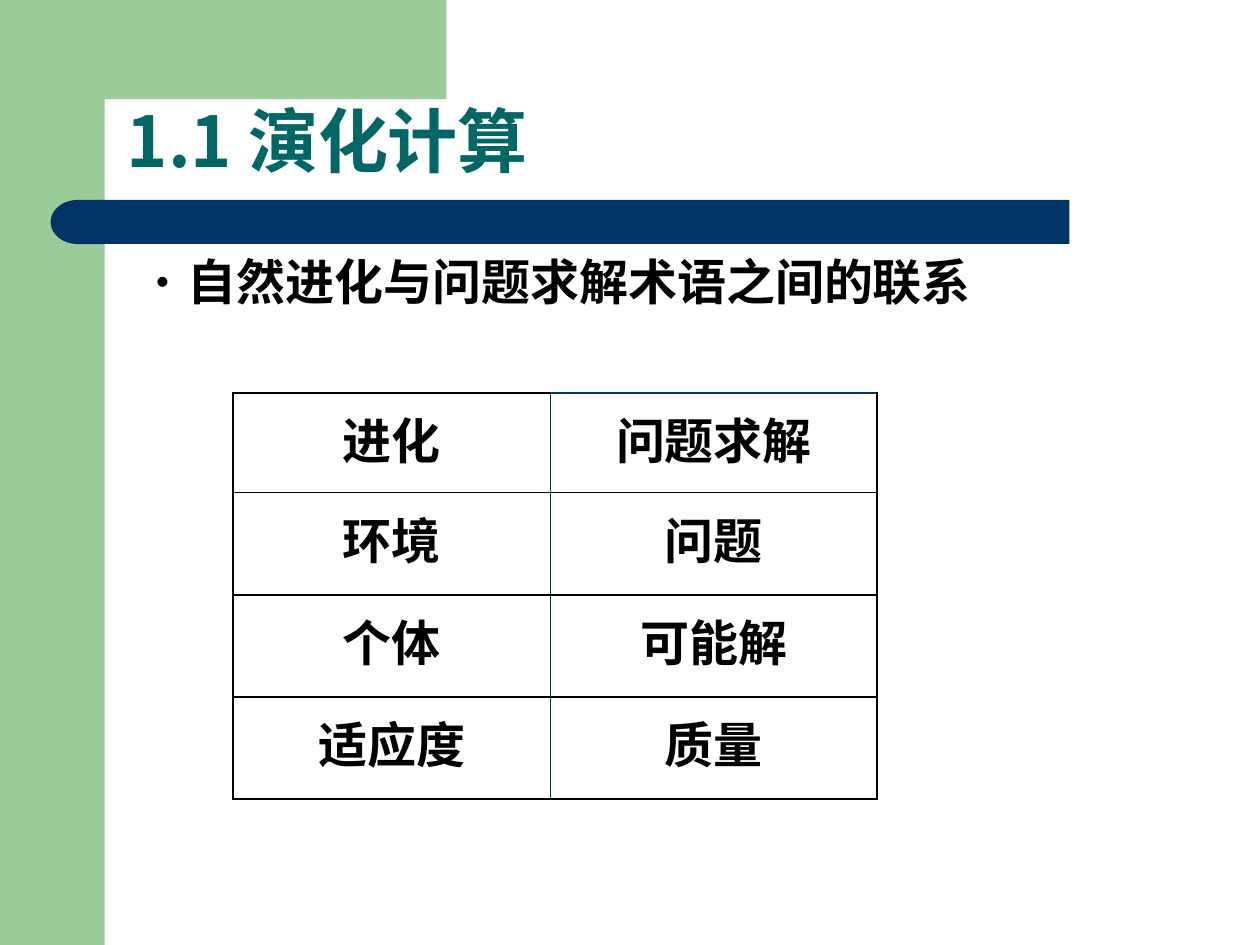
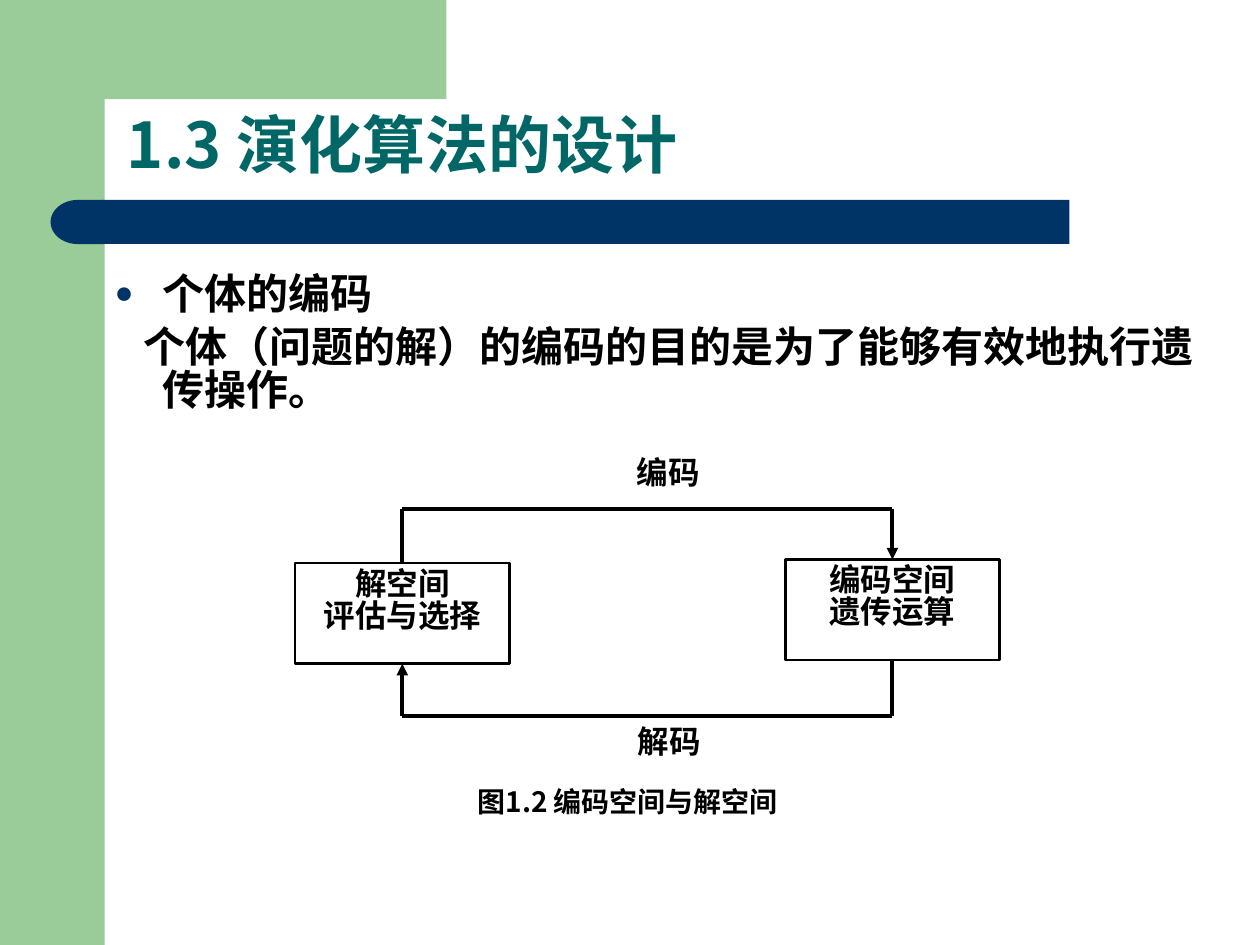
from dataclasses import dataclass
from math import cos, pi, sin

from lxml.etree import SubElement
from pptx import Presentation
from pptx.dml.color import RGBColor
from pptx.enum.shapes import MSO_CONNECTOR, MSO_SHAPE
from pptx.enum.text import MSO_ANCHOR, PP_ALIGN
from pptx.oxml.ns import qn
from pptx.util import Cm, Pt


@dataclass(frozen=True)
class Theme:
    green: str = "99CC99"
    navy: str = "003366"
    teal: str = "006666"
    black: str = "000000"
    white: str = "FFFFFF"
    cjk: str = "Noto Sans CJK SC"
    sans: str = "Arial"
    serif: str = "Times New Roman"
    large: int = 28
    body: int = 24
    label: int = 18
    caption: int = 16
    spacing: float = 0.85
    thin: float = 0.45
    rule: float = 1.08
    outline: float = 1.5
    arrow: float = 2.25


T = Theme()
INSETS = (0.25, 0.13, 0.25, 0.13)


def rgb(color):
    return RGBColor.from_string(color)


def set_all(obj, values):
    for name, value in values.items():
        setattr(obj, name, value)


def lengths(*values):
    return [Cm(v) for v in values]


def set_frame(tf, insets=INSETS, anchor=MSO_ANCHOR.TOP):
    left, top, right, bottom = lengths(*insets)
    set_all(tf, {"word_wrap": True, "vertical_anchor": anchor,
                 "margin_left": left, "margin_top": top,
                 "margin_right": right, "margin_bottom": bottom})


def add_run(p, text, size, font, color=T.black):
    r = p.add_run()
    r.text = text
    set_all(r.font, {"size": Pt(size), "bold": True, "name": font})
    r.font.color.rgb = rgb(color)
    SubElement(r.font._element, qn("a:ea"), typeface=T.cjk)


def write_lines(tf, lines, size, font, align=PP_ALIGN.CENTER):
    for i, line in enumerate(lines):
        p = tf.paragraphs[0] if i == 0 else tf.add_paragraph()
        set_all(p, {"alignment": align, "line_spacing": T.spacing})
        add_run(p, line, size, font)


def add_text_box(s, box, insets=INSETS, anchor=MSO_ANCHOR.TOP):
    tf = s.shapes.add_textbox(*lengths(*box)).text_frame
    set_frame(tf, insets, anchor)
    return tf


def set_indent(p, margin, first_line, bullet=None, color=T.black):
    pPr = p._p.get_or_add_pPr()
    pPr.set("marL", str(Cm(margin)))
    pPr.set("indent", str(Cm(first_line)))
    if bullet:
        bu_clr = SubElement(pPr, qn("a:buClr"))
        SubElement(bu_clr, qn("a:srgbClr"), val=color)
        SubElement(pPr, qn("a:buSzPct"), val="75000")
        SubElement(pPr, qn("a:buFont"), typeface=T.sans)
        SubElement(pPr, qn("a:buChar"), char=bullet)


def paint(sp, fill, line=None):
    sp.shadow.inherit = False
    sp.fill.solid()
    sp.fill.fore_color.rgb = rgb(fill)
    if line:
        sp.line.color.rgb = rgb(line)
        sp.line.width = Pt(T.outline)
    else:
        sp.line.fill.background()
    return sp


def add_block(s, kind, box, fill, line=None):
    return paint(s.shapes.add_shape(kind, *lengths(*box)), fill, line)


def add_corner(s):
    """Green top band whose inner corner is rounded."""
    edge, radius, steps = 2.11, 0.84, 12
    centre = edge + radius
    arc = [(centre - radius * sin(a), centre - radius * cos(a))
           for a in (pi / 2 * i / steps for i in range(steps + 1))]
    points = [(8.89, edge), *arc, (edge, 3.25), (1.27, 3.25), (1.27, 0)]
    builder = s.shapes.build_freeform(8.89, 0, scale=float(Cm(1)))
    builder.add_line_segments(points, close=True)
    paint(builder.convert_to_shape(), T.green)


def add_slide(prs, size, title_runs):
    """Blank slide with the shared bands and a title."""
    s = prs.slides.add_slide(prs.slide_layouts[6])
    add_block(s, MSO_SHAPE.RECTANGLE, (0, 0, 2.11, 19.05), T.green)
    add_corner(s)
    add_block(s, MSO_SHAPE.RECTANGLE, (2.08, 4.03, 19.48, 0.89), T.navy)
    cap = add_block(s, MSO_SHAPE.FLOWCHART_DELAY, (1.02, 4.03, 1.09, 0.89), T.navy)
    cap.rotation = 180
    tf = add_text_box(s, (2.31, 0.91, 21.62, 2.77), (0.25, 0.13, 0.25, 0),
                      MSO_ANCHOR.BOTTOM)
    p = tf.paragraphs[0]
    p.line_spacing = 0.9
    for text, font in title_runs:
        add_run(p, text, size, font, T.teal)
    return s


def set_borders(cell, borders):
    tcPr = cell._tc.get_or_add_tcPr()
    for side in "LRTB":
        color, width = borders[side]
        ln = SubElement(tcPr, qn(f"a:ln{side}"), w=str(Pt(width)))
        fill = SubElement(ln, qn("a:solidFill"))
        SubElement(fill, qn("a:srgbClr"), val=color)


def add_term_table(s, rows, position, widths, heights):
    frame = s.shapes.add_table(len(rows), len(widths),
                               *lengths(*position, sum(widths), sum(heights)))
    table = frame.table
    set_all(table, {"first_row": False, "horz_banding": False})
    for column, width in zip(table.columns, widths):
        column.width = Cm(width)
    heavy, divider = (T.black, T.rule), (T.navy, T.thin)
    for i, (row, height) in enumerate(zip(rows, heights)):
        table.rows[i].height = Cm(height)
        for j, term in enumerate(row):
            cell = table.cell(i, j)
            top = (T.navy, T.rule) if (i, j) == (0, 1) else heavy
            set_borders(cell, {"L": divider if j else heavy,
                               "R": heavy if j else divider,
                               "T": top, "B": heavy})
            cell.fill.background()
            set_all(cell, {"margin_top": Cm(0.37), "margin_bottom": Cm(0.13),
                           "vertical_anchor": MSO_ANCHOR.TOP})
            write_lines(cell.text_frame, [term], T.large, T.sans)


def add_space_box(s, left, top, lines):
    sp = add_block(s, MSO_SHAPE.RECTANGLE, (left, top, 4.32, 2.03), T.white, T.black)
    set_frame(sp.text_frame)
    write_lines(sp.text_frame, lines, T.label, T.serif)
    return sp


def add_line(s, x1, y1, x2, y2):
    c = s.shapes.add_connector(MSO_CONNECTOR.STRAIGHT, x1, y1, x2, y2)
    c.line.color.rgb = rgb(T.black)
    c.line.width = Pt(T.arrow)
    SubElement(c._element.spPr, qn("a:effectLst"))
    return c


def add_route(s, source, target, site, level):
    """Three lines from source to target by way of a level, arrow at target."""
    x1, x2 = (sp.left + sp.width // 2 for sp in (source, target))
    y = Cm(level)
    add_line(s, x1, y, x1, y).begin_connect(source, site)
    add_line(s, x1, y, x2, y)
    arrow = add_line(s, x2, y, x2, y)
    arrow.end_connect(target, site)
    SubElement(arrow.line._get_or_add_ln(), qn("a:tailEnd"), type="triangle")


def build_terms(prs):
    s = add_slide(prs, 40, [("1.1 演化计算", T.cjk)])
    rows = [("进化", "问题求解"), ("环境", "问题"),
            ("个体", "可能解"), ("适应度", "质量")]
    add_term_table(s, rows, (4.7, 7.92), (6.4, 6.58), (2.01, 2.06, 2.06, 2.06))
    tf = add_text_box(s, (2.9, 5.13, 17.6, 1.45))
    set_indent(tf.paragraphs[0], 0.64, -0.64, "•")
    write_lines(tf, ["自然进化与问题求解术语之间的联系"], T.large, T.sans, PP_ALIGN.LEFT)


def build_coding(prs):
    s = add_slide(prs, 36, [("1.3 ", T.cjk), ("演化算法的设计", T.sans)])
    tf = add_text_box(s, (2.06, 5.41, 22.4, 11.48))
    write_lines(tf, ["个体的编码",
                     "个体（问题的解）的编码的目的是为了能够有效地执行遗传操作。"],
                T.body, T.cjk, PP_ALIGN.LEFT)
    heading, purpose = tf.paragraphs
    purpose.space_before = Pt(6)
    set_indent(heading, 0.97, -0.97, "●", T.navy)
    set_indent(purpose, 0.97, -0.38)

    flat, padded = (0, 0, 0, 0), (0, 0.13, 0, 0.13)
    for text, box, insets, size, font, align in (
            ("图1.2 编码空间与解空间", (9.63, 15.93, 7.42, 0.99), flat,
             T.caption, T.cjk, PP_ALIGN.JUSTIFY),
            ("编码", (12.6, 9.12, 1.75, 1.02), padded,
             T.label, T.serif, PP_ALIGN.CENTER),
            ("解码", (12.62, 14.68, 1.75, 0.86), flat,
             T.label, T.serif, PP_ALIGN.CENTER)):
        write_lines(add_text_box(s, box, insets), [text], size, font, align)

    solution = add_space_box(s, 5.95, 11.35, ["解空间", "评估与选择"])
    coding = add_space_box(s, 15.83, 11.28, ["编码空间", "遗传运算"])
    add_route(s, solution, coding, 0, 10.26)
    add_route(s, coding, solution, 2, 14.43)


def main():
    prs = Presentation()
    set_all(prs, {"slide_width": Cm(25.4), "slide_height": Cm(19.05)})
    build_terms(prs)
    build_coding(prs)
    prs.save("out.pptx")


if __name__ == "__main__":
    main()
